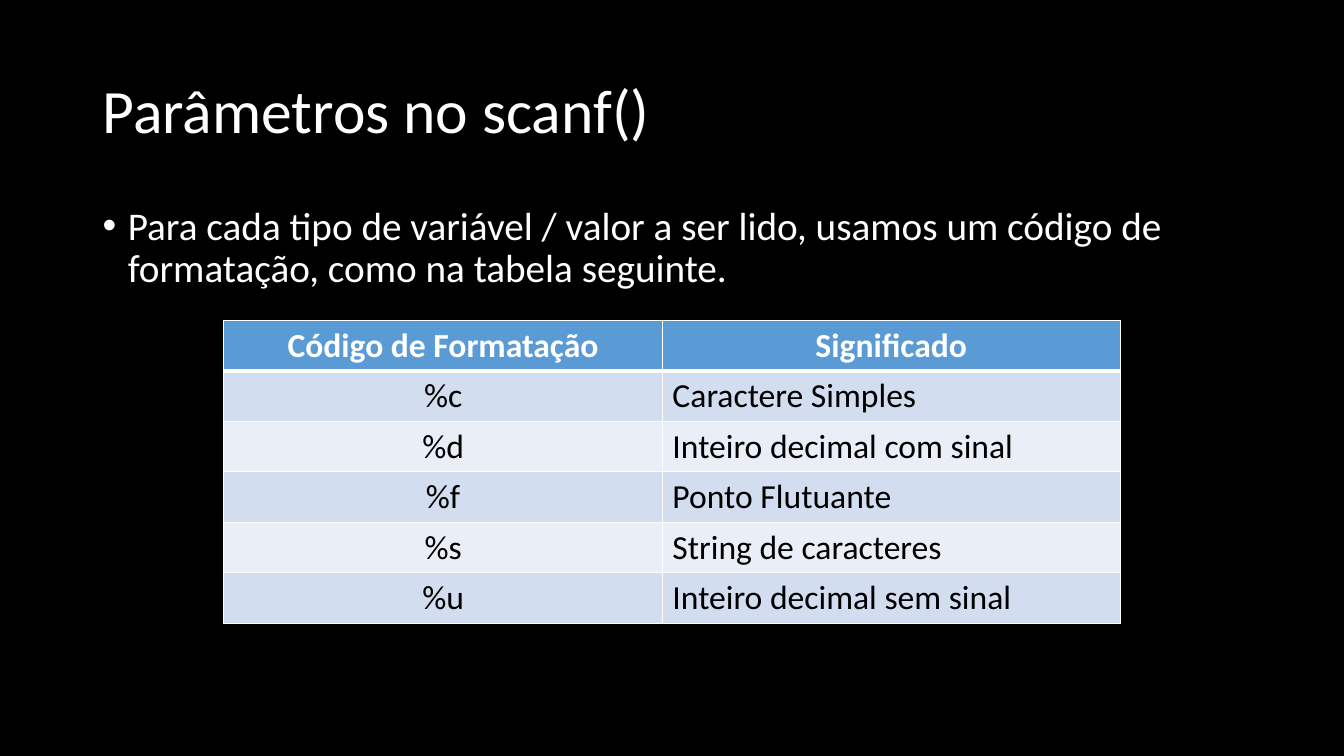
import pptx
import pptx.dml.color
import pptx.enum.text
import pptx.oxml.ns
import pptx.util
from lxml import etree
from pptx.util import Inches

RGBColor = pptx.dml.color.RGBColor
BLACK = RGBColor(0x00, 0x00, 0x00)
WHITE = RGBColor(0xFF, 0xFF, 0xFF)
HEADER_BLUE = RGBColor(0x5B, 0x9B, 0xD5)
BAND_DARK = RGBColor(0xD2, 0xDE, 0xEF)
BAND_LIGHT = RGBColor(0xEA, 0xEF, 0xF7)
ALIGN = pptx.enum.text.PP_ALIGN
ANCHOR = pptx.enum.text.MSO_ANCHOR

FORMAT_CODES = [
    ("Código de Formatação", "Significado"),
    ("%c", "Caractere Simples"),
    ("%d", "Inteiro decimal com sinal"),
    ("%f", "Ponto Flutuante"),
    ("%s", "String de caracteres"),
    ("%u", "Inteiro decimal sem sinal"),
]


def add_element(parent, tag, **attributes):
    """Append a drawing element with the given attributes."""
    return etree.SubElement(parent, pptx.oxml.ns.qn(tag), attributes)


def write(frame, text, size, color, bold=False, align=ALIGN.LEFT, spacing=1.0, before=0):
    """Write one formatted paragraph into a text frame and return it."""
    frame.word_wrap = True
    paragraph = frame.paragraphs[0]
    paragraph.alignment = align
    paragraph.line_spacing = spacing
    paragraph.space_before = pptx.util.Pt(before)
    run = paragraph.add_run()
    run.text = text
    run.font.name = "Calibri"
    run.font.size = pptx.util.Pt(size)
    run.font.bold = bold
    run.font.color.rgb = color
    return paragraph


def add_title(slide, left, top, width, height):
    """Place the slide title, centred vertically in its box."""
    title = slide.shapes.add_textbox(left, top, width, height).text_frame
    title.vertical_anchor = ANCHOR.MIDDLE
    write(title, "Parâmetros no scanf()", 44, WHITE, spacing=0.9)


def add_explanation(slide, left, top, width, height):
    """Place the bulleted explanation above the table."""
    explanation = slide.shapes.add_textbox(left, top, width, height).text_frame
    paragraph = write(
        explanation,
        "Para cada tipo de variável / valor a ser lido, usamos um código de "
        "formatação, como na tabela seguinte.",
        28, WHITE, spacing=0.9, before=10)
    properties = paragraph._p.get_or_add_pPr()
    properties.set("marL", str(Inches(0.25)))
    properties.set("indent", str(Inches(-0.25)))
    add_element(properties, "a:buFont", typeface="Arial")
    add_element(properties, "a:buChar", char="•")


def add_borders(cell, **widths):
    """Draw white cell borders with the given widths in points."""
    properties = cell._tc.get_or_add_tcPr()
    for side, width in widths.items():
        line = add_element(properties, "a:ln" + side, w=str(pptx.util.Pt(width)))
        add_element(add_element(line, "a:solidFill"), "a:srgbClr", val=str(WHITE))


def add_code_table(slide, left, top, width, height):
    """Place the table of format codes with its banded rows."""
    table = slide.shapes.add_table(
        len(FORMAT_CODES), 2, left, top, width, height).table
    table.columns[0].width = Inches(4.35)
    table.columns[1].width = width - Inches(4.35)
    for row, texts in enumerate(FORMAT_CODES):
        header = row == 0
        band = BAND_DARK if row % 2 else BAND_LIGHT
        for column, text in enumerate(texts):
            cell = table.cell(row, column)
            add_borders(cell, L=1, R=1, T=3 if row == 1 else 1, B=3 if header else 1)
            cell.fill.solid()
            cell.fill.fore_color.rgb = HEADER_BLUE if header else band
            centred = header or column == 0
            write(cell.text_frame, text, 24, WHITE if header else BLACK, bold=header,
                  align=ALIGN.CENTER if centred else ALIGN.LEFT)


def build():
    """Build the slide and save the presentation."""
    presentation = pptx.Presentation()
    presentation.slide_width = Inches(13.33)
    presentation.slide_height = Inches(7.5)
    slide = presentation.slides.add_slide(presentation.slide_layouts[6])
    slide.background.fill.solid()
    slide.background.fill.fore_color.rgb = BLACK
    add_title(slide, Inches(0.92), Inches(0.4), Inches(11.5), Inches(1.45))
    add_explanation(slide, Inches(0.92), Inches(2), Inches(11.5), Inches(4.76))
    add_code_table(slide, Inches(2.22), Inches(3.18), Inches(8.89), Inches(3))
    presentation.save("out.pptx")


build()
